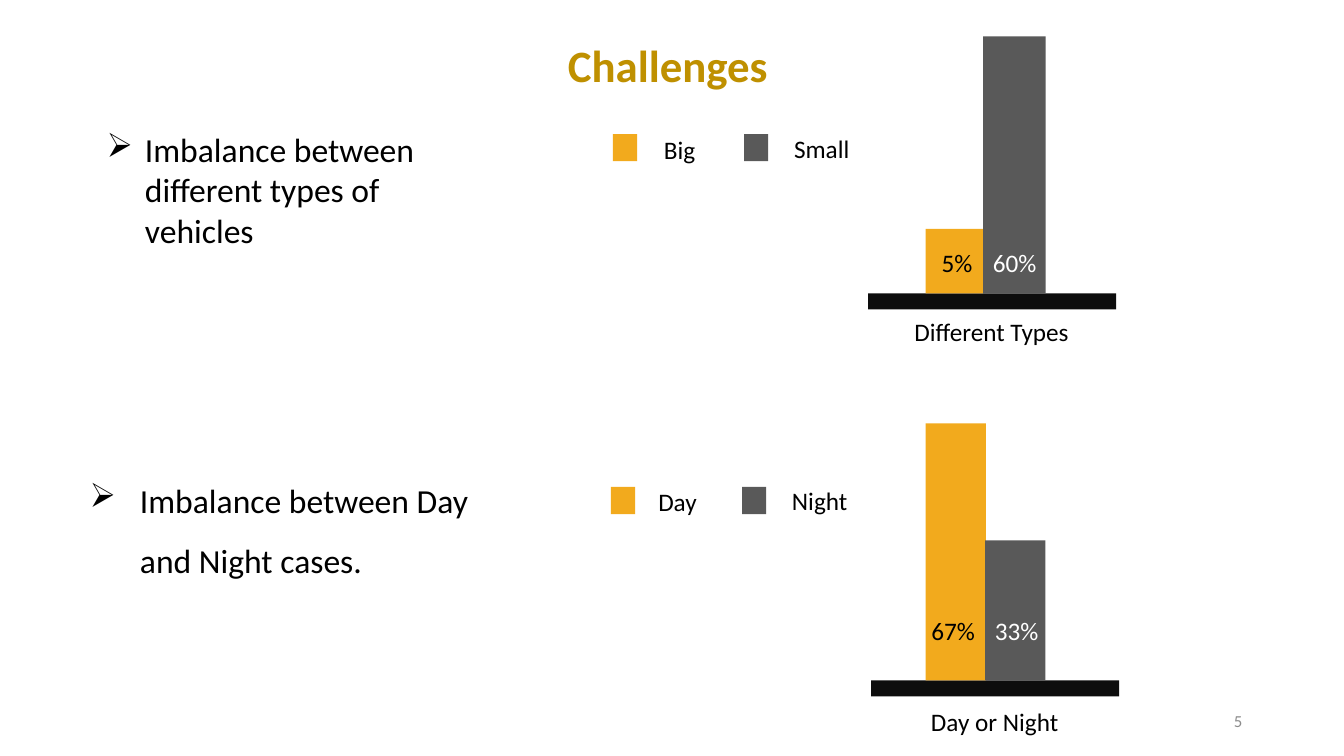
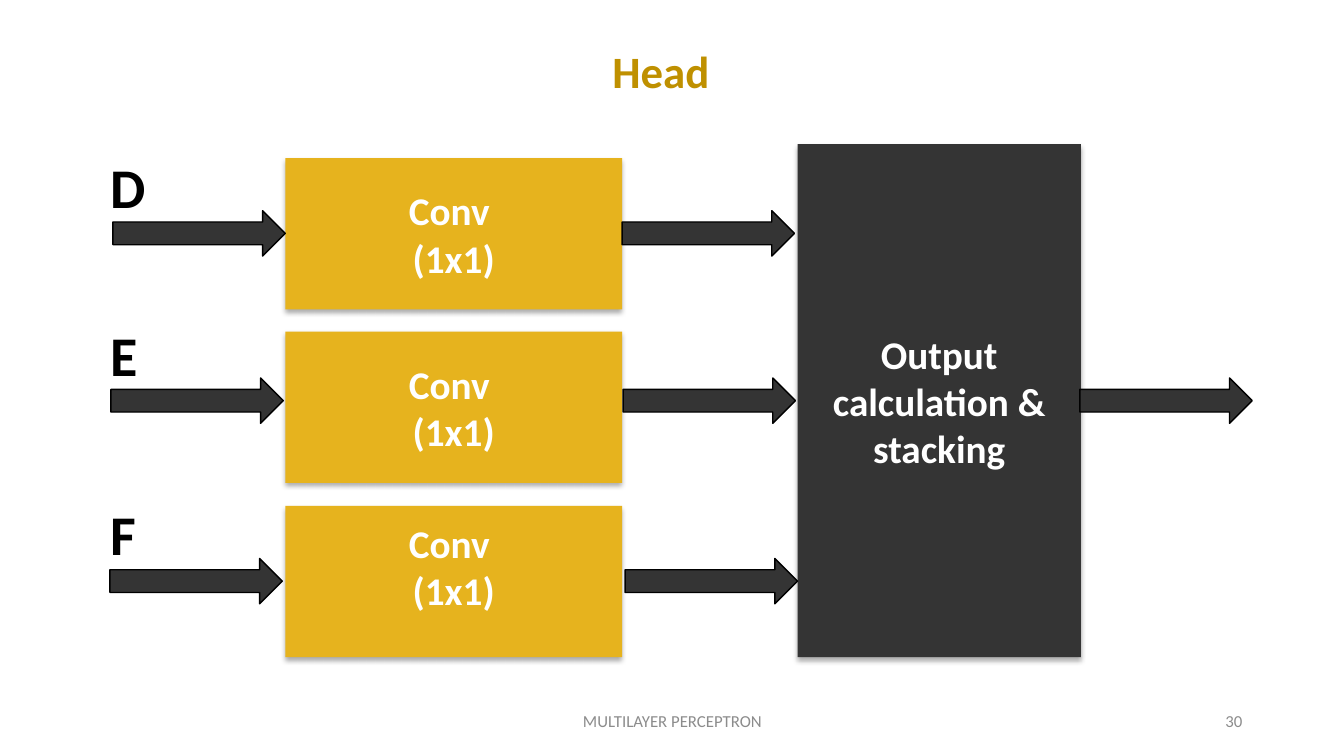
"""Build two slides: data imbalance challenges and the detection head diagram."""
from lxml import etree
from pptx import Presentation
from pptx.dml.color import RGBColor
from pptx.enum.shapes import MSO_SHAPE
from pptx.enum.text import MSO_ANCHOR, PP_ALIGN
from pptx.oxml.ns import qn
from pptx.util import Pt

PX = 9144
RECT, ARROW = MSO_SHAPE.RECTANGLE, MSO_SHAPE.RIGHT_ARROW
LEFT, CENTER, RIGHT = PP_ALIGN.LEFT, PP_ALIGN.CENTER, PP_ALIGN.RIGHT
TOP, MIDDLE = MSO_ANCHOR.TOP, MSO_ANCHOR.MIDDLE

FONT = "Calibri"
BLACK, WHITE = "000000", "FFFFFF"
TITLE_GOLD, FOOTER_GRAY = "BF9000", "8C8C8C"
BAR_COLORS = ("F2AA1D", "595959")
BAR_LABEL_COLORS = (BLACK, WHITE)
BASELINE_BLACK = "0D0D0D"
CONV_GOLD, DARK = "E6B31E", "343434"


def place(slide, box, fill=None, form=RECT, outline=None):
    """Add a filled shape, or a text box when there is no fill."""
    left, top, width, height = (value * PX for value in box)
    if fill is None:
        return slide.shapes.add_textbox(left, top, width, height)
    shape = slide.shapes.add_shape(form, left, top, width, height)
    shape.shadow.inherit = False
    shape.fill.solid()
    shape.fill.fore_color.rgb = RGBColor.from_string(fill)
    if outline:
        shape.line.color.rgb = RGBColor.from_string(outline)
        shape.line.width = Pt(1)
    else:
        shape.line.fill.background()
    return shape


def write(shape, text, size, color, align=CENTER, bold=False, anchor=TOP,
          indent=0, spacing=None):
    """Fill a shape with text, bulleted when an indent is given."""
    frame = shape.text_frame
    frame.word_wrap = True
    frame.vertical_anchor = anchor
    frame.text = text
    for paragraph in frame.paragraphs:
        if indent:
            properties = paragraph._p.get_or_add_pPr()
            properties.set("marL", str(indent * PX))
            properties.set("indent", str(-indent * PX))
            etree.SubElement(properties, qn("a:buChar"), char="➢")
        paragraph.alignment = align
        if spacing:
            paragraph.line_spacing = spacing
        paragraph.font.name = FONT
        paragraph.font.size = Pt(size)
        paragraph.font.bold = bold
        paragraph.font.color.rgb = RGBColor.from_string(color)


prs = Presentation()
prs.slide_width, prs.slide_height = 1333 * PX, 750 * PX
blank = prs.slide_layouts[6]
challenges, head = (prs.slides.add_slide(blank) for _ in range(2))

for slide, title, title_box, number in (
    (challenges, "Challenges", (120, 33, 1085, 64), "5"),
    (head, "Head", (200, 38, 911, 64), "30"),
):
    write(place(slide, title_box), title, 32, TITLE_GOLD, bold=True)
    write(place(slide, (942, 695, 300, 40)), number, 12, FOOTER_GRAY,
          align=RIGHT, anchor=MIDDLE)
write(place(head, (442, 695, 450, 40)), "MULTILAYER PERCEPTRON", 12,
      FOOTER_GRAY, anchor=MIDDLE)

write(place(challenges, (96, 123, 386, 131)),
      "Imbalance between different types of vehicles", 24, BLACK,
      align=LEFT, indent=38)
write(place(challenges, (79, 451, 403, 125)),
      "Imbalance between Day and Night cases.", 24, BLACK,
      align=LEFT, indent=50, spacing=1.5)

bar_charts = (
    ("Different Types", 861, 291, 309, (608, 133), 240,
     (("Big", "5%", 918, 57, 64, 924), ("Small", "60%", 975, 62, 255, 975))),
    ("Day or Night", 864, 675, 696, (606, 483), 606,
     (("Day", "67%", 918, 60, 255, 914), ("Night", "33%", 977, 60, 139, 977))),
)
for caption, base_left, base_top, caption_top, legend, value_top, bars in bar_charts:
    place(challenges, (base_left, base_top, 246, 16), BASELINE_BLACK)
    write(place(challenges, (base_left + 30, caption_top, 185, 40)), caption, 18, BLACK)
    key_left, key_top = legend
    for index, (name, value, left, width, height, value_left) in enumerate(bars):
        color = BAR_COLORS[index]
        place(challenges, (left, base_top - height, width, height), color)
        write(place(challenges, (value_left, value_top, 70, 40)), value, 18,
              BAR_LABEL_COLORS[index], align=LEFT)
        key_x = key_left + 130 * index
        place(challenges, (key_x, key_top, 24, 27), color)
        write(place(challenges, (key_x + 24 + 11 * index, key_top - 5 - index, 84, 40)),
              name, 18, BLACK)

conv_tops = (157, 329, 502)
stages = [((283, top, 334, 150), CONV_GOLD, "Conv \n(1x1)") for top in conv_tops]
stages.append(((791, 143, 281, 509), DARK, "Output calculation & stacking"))
for box, fill, text in stages:
    stage = place(head, box, fill)
    write(stage, text, 28, WHITE, bold=True, anchor=MIDDLE)
    if box[1] == conv_tops[-1]:
        stage.text_frame.margin_bottom = 35 * PX
    effects = stage._element.spPr.find(qn("a:effectLst"))
    shadow = etree.SubElement(effects, qn("a:outerShdw"), blurRad=str(Pt(3.5)),
                              dist=str(Pt(2.2)), dir="5400000", rotWithShape="0")
    shade = etree.SubElement(shadow, qn("a:srgbClr"), val=BLACK)
    etree.SubElement(shade, qn("a:alpha"), val="32000")

for letter, letter_top, arrow_top, input_left, output_left in (
    ("D", 146, 209, 112, 617),
    ("E", 313, 375, 110, 618),
    ("F", 491, 554, 109, 620),
):
    for left in (input_left, output_left):
        place(head, (left, arrow_top, 171, 45), DARK, ARROW, BLACK)
    write(place(head, (100, letter_top, 39, 77)), letter, 40, BLACK,
          align=LEFT, bold=True)
place(head, (1071, 375, 171, 45), DARK, ARROW, BLACK)

prs.save("out.pptx")
